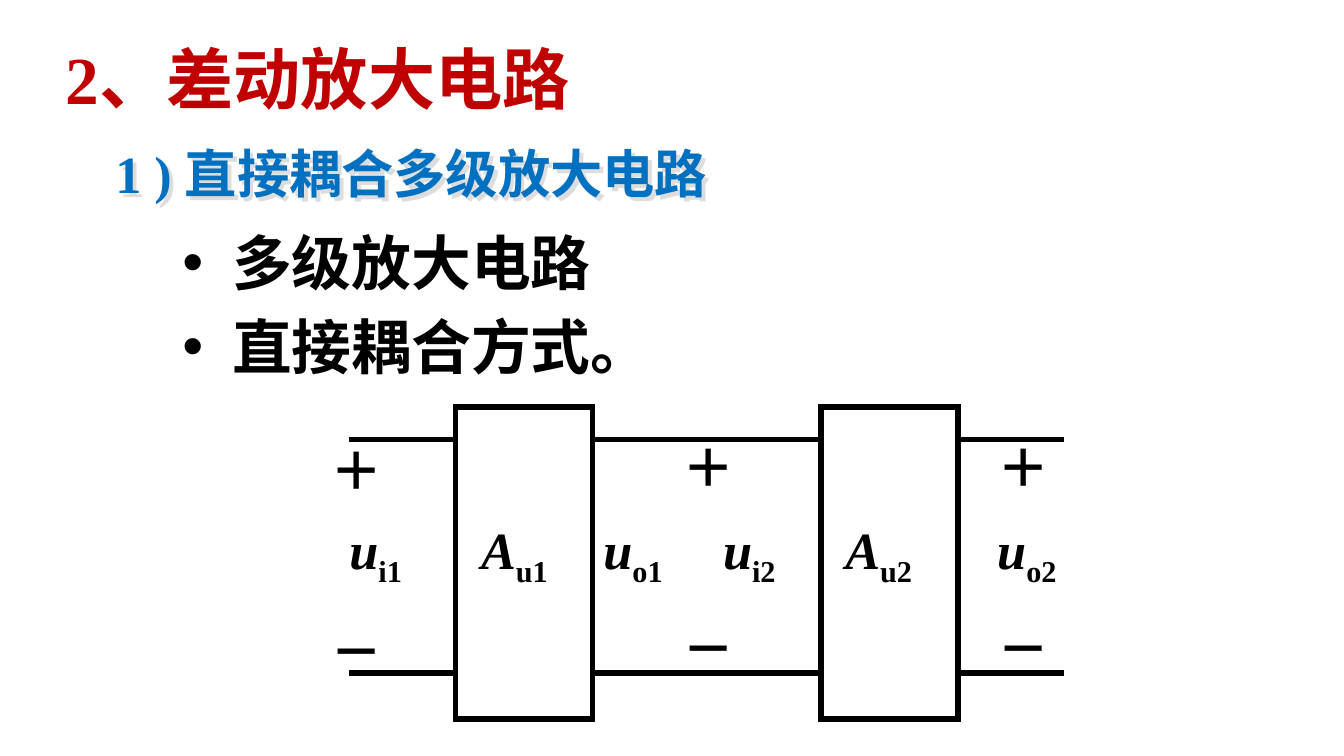
"""Build a slide on directly coupled two-stage amplifiers."""
from typing import NamedTuple

from lxml import etree
from pptx import Presentation
from pptx.dml.color import RGBColor
from pptx.enum.shapes import MSO_CONNECTOR, MSO_SHAPE
from pptx.enum.text import MSO_ANCHOR, PP_ALIGN
from pptx.oxml import parse_xml
from pptx.oxml.ns import nsdecls, qn
from pptx.util import Inches, Pt

RECT = MSO_SHAPE.RECTANGLE
WIRE = MSO_CONNECTOR.STRAIGHT
TOP = MSO_ANCHOR.TOP
JUST = PP_ALIGN.JUSTIFY
BLACK = "000000"
FACE = {"name": "Times New Roman", "bold": True}
SIDES = ("margin_left", "margin_top", "margin_right", "margin_bottom")
STAGE = 1.02
STAGES = (3.39, 6.11)
RAILS = (3.27, 5.01)
ENDS = (2.6, 7.92)


class Box(NamedTuple):
    left: float
    top: float
    width: float
    height: float


class Label(NamedTuple):
    left: float
    name: str
    sub: str


LABELS = (
    Label(2.6, "u", "i1"),
    Label(3.58, "A", "u1"),
    Label(4.49, "u", "o1"),
    Label(5.38, "u", "i2"),
    Label(6.29, "A", "u2"),
    Label(7.42, "u", "o2"),
)
SIGNS = ((2.46, 3.29), (5.08, 3.27), (7.42, 3.27))


def paint(target, code: str) -> None:
    """Give a font or line one solid colour."""
    target.fill.solid()
    target.fill.fore_color.rgb = RGBColor.from_string(code)


def style(font, size: float, code: str = BLACK, **more) -> None:
    """Apply the slide typeface and any extra format values."""
    for key, value in {**FACE, "size": Pt(size), **more}.items():
        setattr(font, key, value)
    paint(font, code)


def panel(slide, box: Box, inset: bool = True):
    """Add a wrapping text box."""
    shape = slide.shapes.add_textbox(*map(Inches, box))
    values = {"word_wrap": True, "vertical_anchor": TOP}
    if not inset:
        values.update(dict.fromkeys(SIDES, 0))
    for key, value in values.items():
        setattr(shape.text_frame, key, value)
    return shape


def write(para, text: str, size: float, code: str = BLACK, **more):
    """Add one styled run to a paragraph."""
    run = para.add_run()
    run.text = text
    style(run.font, size, code, **more)
    return run


def shade(shape) -> None:
    """Give the text of an unfilled box a pale shadow."""
    shape._element.spPr.append(parse_xml(
        f'<a:effectLst {nsdecls("a")}><a:outerShdw dist="38100" '
        'dir="2700000" algn="tl"><a:srgbClr val="DDDDDD"/>'
        '</a:outerShdw></a:effectLst>'))


def dot(para, indent: float) -> None:
    """Add a hanging round bullet."""
    props = para._p.get_or_add_pPr()
    props.set("marL", str(Inches(indent)))
    props.set("indent", str(-Inches(indent)))
    etree.SubElement(props, qn("a:buFont")).set("typeface", "Arial")
    etree.SubElement(props, qn("a:buChar")).set("char", "•")


def heads(slide) -> None:
    """Write the title, the subtitle and the bullets."""
    title = panel(slide, Box(0.39, 0.3, 4.72, 0.6))
    para = title.text_frame.paragraphs[0]
    para.line_spacing = 0.9
    write(para, "2、差动放大电路", 36, "C00000")
    topic = panel(slide, Box(0.76, 1, 5.06, 0.57))
    para = topic.text_frame.paragraphs[0]
    write(para, "1 ) 直接耦合多级放大电路", 28, "0070C0")
    shade(topic)
    body = panel(slide, Box(1.26, 1.63, 4.54, 1.72)).text_frame
    for i, text in enumerate(("多级放大电路", "直接耦合方式。")):
        para = body.add_paragraph() if i else body.paragraphs[0]
        if i:
            para.space_before = Pt(6.6)
        dot(para, 0.37)
        write(para, text, 32)


def stage(slide, left: float) -> None:
    """Draw one amplifier stage as an open box."""
    shape = slide.shapes.add_shape(
        RECT, *map(Inches, Box(left, 3.03, STAGE, 2.32)))
    shape.shadow.inherit = False
    shape.fill.background()
    shape.line.width = Pt(3)
    paint(shape.line, BLACK)
    edge = shape._element.spPr.find(qn("a:ln"))
    etree.SubElement(edge, qn("a:miter")).set("lim", "800000")


def wire(slide, start: float, end: float, top: float) -> None:
    """Draw one level wire."""
    line = slide.shapes.add_connector(
        WIRE, *map(Inches, (start, top, end, top)))
    line.line.width = Pt(3)
    paint(line.line, BLACK)
    etree.SubElement(line._element.spPr, qn("a:effectLst"))


def label(slide, item: Label) -> None:
    """Write a symbol with its subscript."""
    box = Box(item.left, 3.85, 0.7, 0.6)
    para = panel(slide, box, False).text_frame.paragraphs[0]
    para.alignment = JUST
    write(para, item.name, 28, italic=True)
    run = write(para, item.sub, 28, italic=False)
    run._r.get_or_add_rPr().set("baseline", "-25000")


def signs(slide, left: float, top: float) -> None:
    """Write the plus and minus marks of one port."""
    text = panel(slide, Box(left, top, 0.38, 1.74), False).text_frame
    plus, minus = text.paragraphs[0], text.add_paragraph()
    minus.space_before = Pt(64.7)
    for para, mark in ((plus, "＋"), (minus, "－")):
        para.alignment = JUST
        para.line_spacing = 0.96
        write(para, mark, 28)


def main() -> None:
    """Build and save the slide."""
    deck = Presentation()
    deck.slide_width = Inches(10)
    deck.slide_height = deck.slide_width * 9 // 16
    slide = deck.slides.add_slide(deck.slide_layouts[6])
    heads(slide)
    for left in reversed(STAGES):
        stage(slide, left)
    starts = (ENDS[0], *(left + STAGE for left in STAGES))
    for start, end in zip(starts, (*STAGES, ENDS[1])):
        for top in RAILS:
            wire(slide, start, end, top)
    for item in LABELS:
        label(slide, item)
    for left, top in SIGNS:
        signs(slide, left, top)
    deck.save("out.pptx")


if __name__ == "__main__":
    main()
